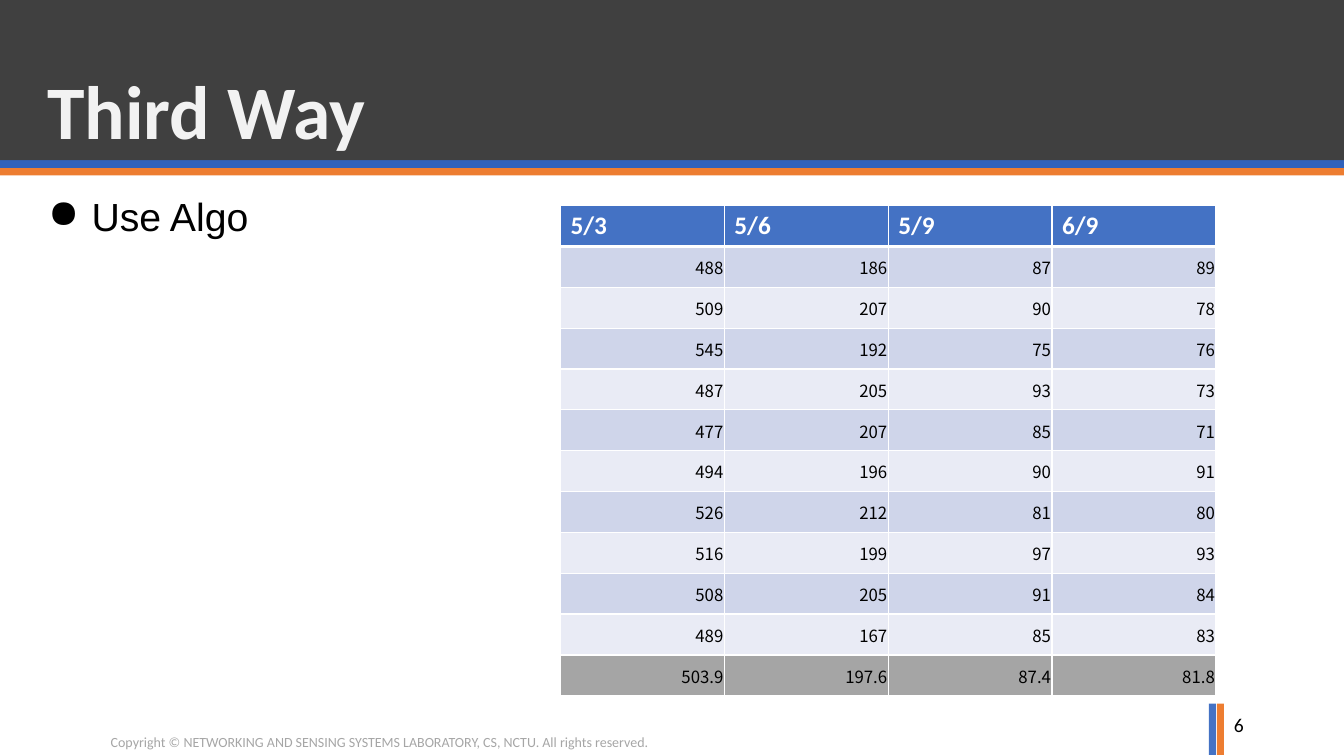
from lxml.etree import SubElement
from pptx import Presentation
from pptx.dml.color import RGBColor
from pptx.enum.shapes import MSO_SHAPE
from pptx.enum.text import MSO_ANCHOR as ANCHOR, PP_ALIGN as ALIGN
from pptx.oxml import parse_xml
from pptx.oxml.ns import nsdecls, qn
from pptx.util import Pt

PX = 9144

WHITE = RGBColor(0xFF, 0xFF, 0xFF)
BLACK = RGBColor(0, 0, 0)
CHARCOAL = RGBColor(0x40, 0x40, 0x40)
ORANGE = RGBColor(0xED, 0x7D, 0x31)
BLUE = RGBColor(0x44, 0x72, 0xC4)
BLUE_TOP = RGBColor(0x61, 0x83, 0xCB)
BLUE_BOTTOM = RGBColor(0x30, 0x62, 0xBB)
TITLE_GRAY = RGBColor(0xF2, 0xF2, 0xF2)
FOOTER_GRAY = RGBColor(0xA6, 0xA6, 0xA6)
TOTAL_GRAY = RGBColor(0xA5, 0xA5, 0xA5)
BAND_DARK = RGBColor(0xCF, 0xD5, 0xEA)
BAND_LIGHT = RGBColor(0xE9, 0xEB, 0xF5)

HEADERS = ["5/3", "5/6", "5/9", "6/9"]
RUNS = [
    [488, 186, 87, 89],
    [509, 207, 90, 78],
    [545, 192, 75, 76],
    [487, 205, 93, 73],
    [477, 207, 85, 71],
    [494, 196, 90, 91],
    [526, 212, 81, 80],
    [516, 199, 97, 93],
    [508, 205, 91, 84],
    [489, 167, 85, 83],
]
AVERAGES = [503.9, 197.6, 87.4, 81.8]


def px(*lengths):
    return [round(n * PX) for n in lengths]


def style_text(p, size, font, color, bold=False):
    for r in p.runs:
        r.font.size = Pt(size)
        r.font.name = font
        r.font.color.rgb = color
        r.font.bold = bold


def add_bar(s, x, y, w, h, color, end_color=None):
    sp = s.shapes.add_shape(MSO_SHAPE.RECTANGLE, *px(x, y, w, h))
    sp.shadow.inherit = False
    sp.line.fill.background()
    if end_color is None:
        sp.fill.solid()
        sp.fill.fore_color.rgb = color
    else:
        sp.fill.gradient()
        sp.fill.gradient_angle = 270
        for stop, stop_color in zip(sp.fill.gradient_stops, (color, end_color)):
            stop.color.rgb = stop_color


def add_text(s, x, y, w, h, text, size, font, color):
    tf = s.shapes.add_textbox(*px(x, y, w, h)).text_frame
    tf.word_wrap = True
    p = tf.paragraphs[0]
    p.text = text
    style_text(p, size, font, color)
    return p


def add_bullet(p, char, margin, indent):
    pPr = p._p.get_or_add_pPr()
    margin, indent = px(margin, indent)
    pPr.set("marL", str(margin))
    pPr.set("indent", str(indent))
    SubElement(pPr, qn("a:buChar")).set("char", char)


def set_title(s, text):
    title = s.shapes.title
    title.left, title.top, title.width, title.height = px(37, 38, 1260, 122)
    s.shapes._spTree.append(title._element)
    tf = title.text_frame
    tf.text = text
    tf.vertical_anchor = ANCHOR.BOTTOM
    p = tf.paragraphs[0]
    p.alignment = ALIGN.LEFT
    p.line_spacing = 0.9
    style_text(p, 54, "Calibri", TITLE_GRAY, True)


def set_borders(cell, bottom):
    tcPr = cell._tc.get_or_add_tcPr()
    for i, (side, width) in enumerate(zip("LRTB", (1, 1, 1, bottom))):
        tcPr.insert(i, parse_xml(
            f'<a:ln{side} {nsdecls("a")} w="{Pt(width)}"><a:solidFill>'
            f'<a:srgbClr val="{WHITE}"/></a:solidFill></a:ln{side}>'))


def fill_cell(cell, value, color, bottom=1, header=False):
    cell.fill.solid()
    cell.fill.fore_color.rgb = color
    set_borders(cell, bottom)
    cell.text = str(value)
    p = cell.text_frame.paragraphs[0]
    if header:
        style_text(p, 18, "Calibri", WHITE, True)
        return
    cell.margin_left = cell.margin_top = cell.margin_right = PX
    cell.margin_bottom = 0
    cell.vertical_anchor = ANCHOR.MIDDLE
    p.alignment = ALIGN.RIGHT
    style_text(p, 12, "Noto Sans CJK TC", BLACK)


def add_grid(s, x, y, w, h, rows, colors, has_header):
    frame = s.shapes.add_table(len(rows), len(rows[0]), *px(x, y, w, h))
    tbl = frame.table
    tbl.first_row = has_header
    tbl.horz_banding = False
    for i, row in enumerate(rows):
        header = has_header and i == 0
        thick = header or not has_header
        for j, value in enumerate(row):
            fill_cell(tbl.cell(i, j), value, colors[i], 3 if thick else 1, header)


def main():
    prs = Presentation()
    prs.slide_width, prs.slide_height = px(1333, 750)
    s = prs.slides.add_slide(prs.slide_layouts[5])

    add_bar(s, 0, -3, 1333, 177, ORANGE)
    add_bar(s, 0, -3, 1333, 170, BLUE_TOP, BLUE_BOTTOM)
    add_bar(s, 0, -3, 1333, 162, CHARCOAL)
    add_bar(s, 1199, 698, 7, 51, BLUE)
    add_bar(s, 1207, 698, 7, 51, ORANGE)
    add_text(s, 100, 723, 1233, 27,
             "Copyright © NETWORKING AND SENSING SYSTEMS LABORATORY, CS, NCTU. "
             "All rights reserved.", 10, "Calibri", FOOTER_GRAY)

    set_title(s, "Third Way")
    p = add_text(s, 37, 186, 1260, 504, "Use Algo", 28, "Arial", BLACK)
    add_bullet(p, "●", 44, -43)
    p = add_text(s, 1214, 698, 83, 40, "6", 14, "Calibri", BLACK)
    p.line_spacing = Pt(20)

    bands = [BAND_DARK, BAND_LIGHT] * (len(RUNS) // 2)
    add_grid(s, 556, 204, 650, 446, [HEADERS] + RUNS, [BLUE] + bands, True)
    add_grid(s, 556, 650, 650, 41, [AVERAGES], [TOTAL_GRAY], False)

    prs.save("out.pptx")


if __name__ == "__main__":
    main()
